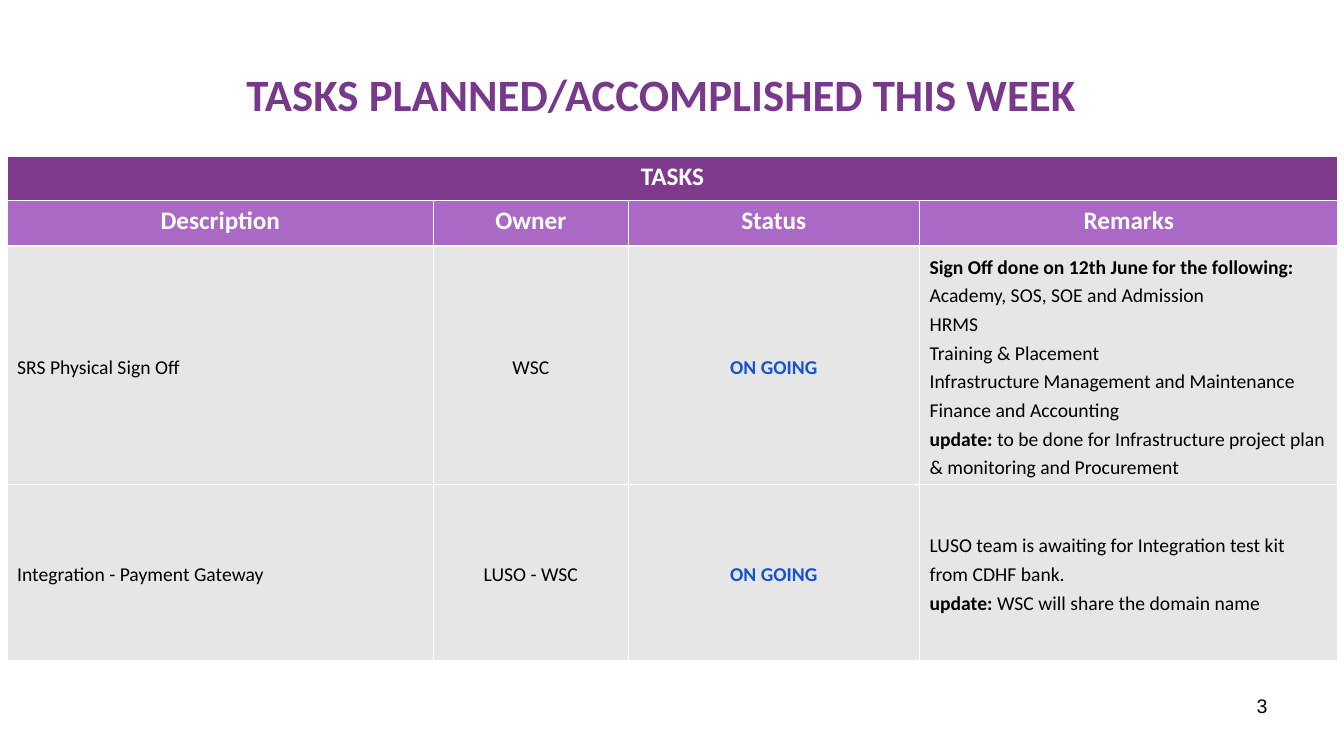
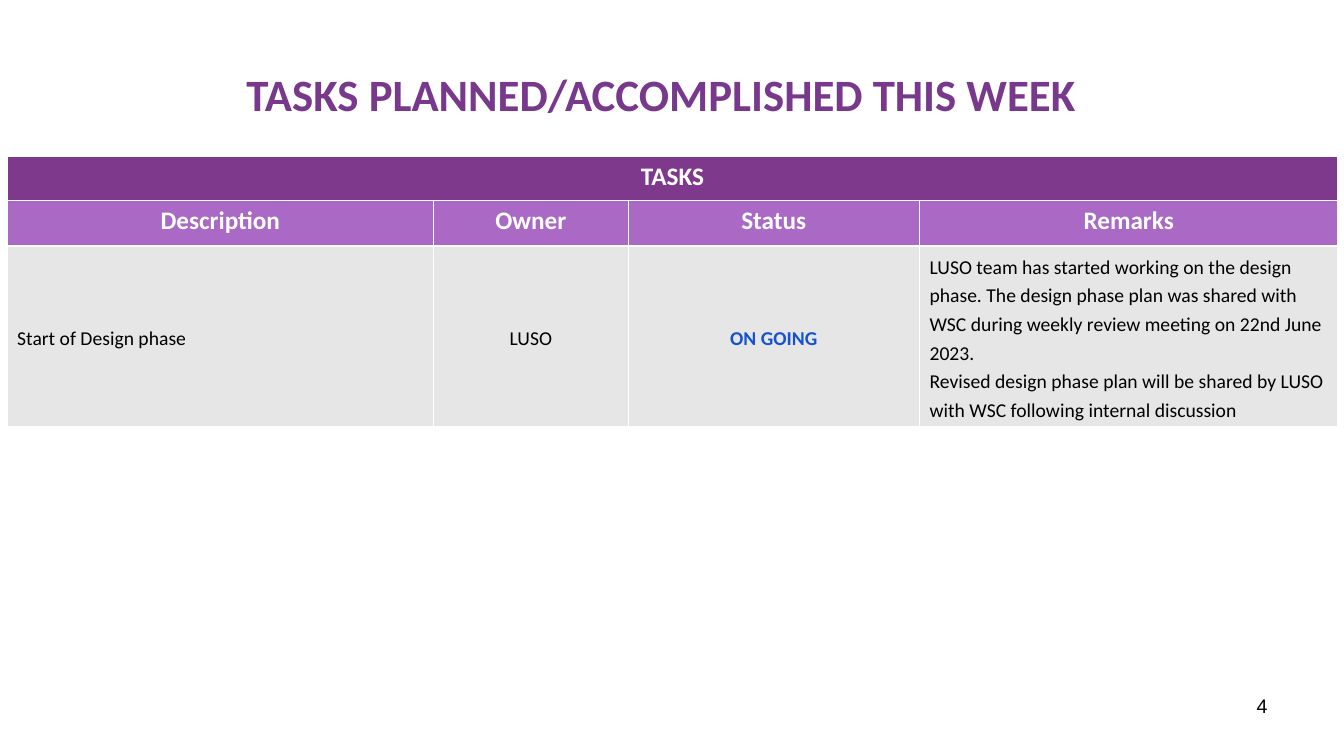
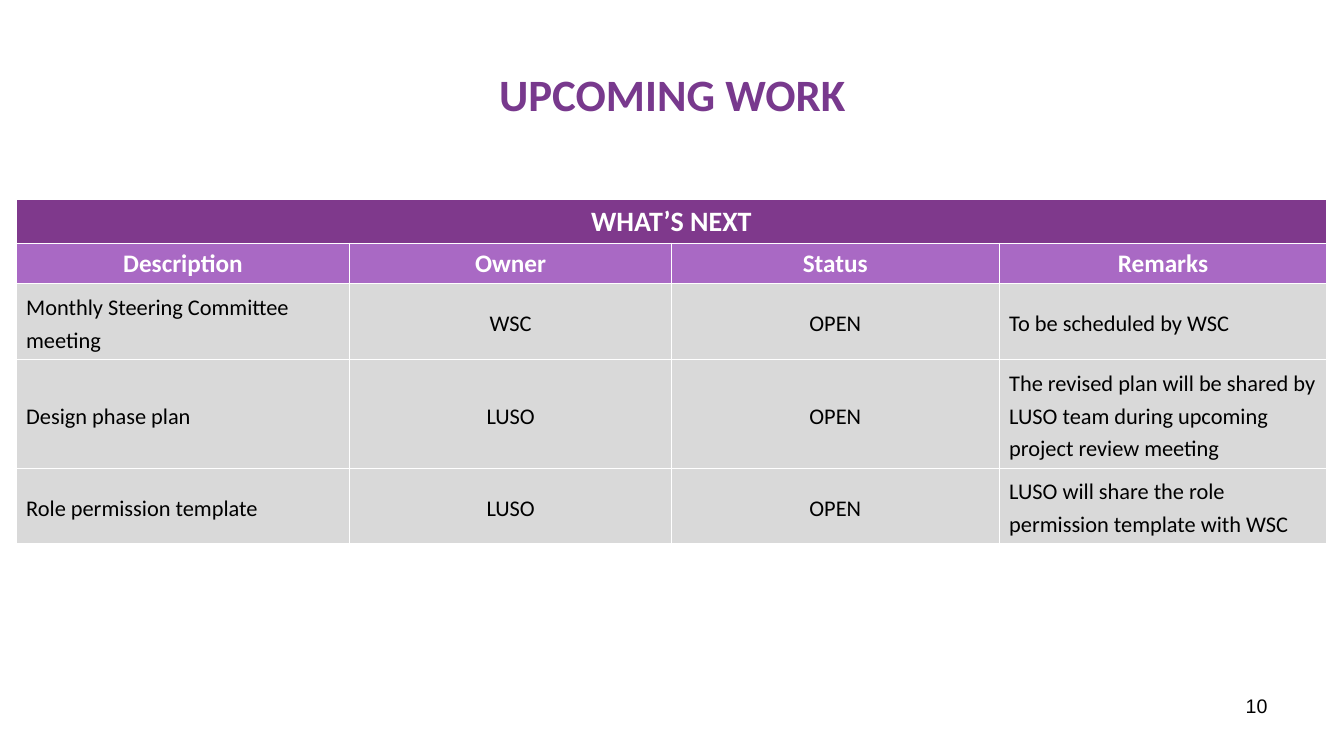
from dataclasses import dataclass

from pptx import Presentation
from pptx import util as u
from pptx.dml import color
from pptx.enum import text
from pptx.oxml import parse_xml
from pptx.oxml import ns

CENTER, LEFT, RIGHT = text.PP_ALIGN.CENTER, text.PP_ALIGN.LEFT, text.PP_ALIGN.RIGHT
MIDDLE, TOP = text.MSO_ANCHOR.MIDDLE, text.MSO_ANCHOR.TOP


@dataclass(frozen=True)
class Theme:
    """Colours, fonts and type sizes shared by the slides."""

    font: str = "Calibri"
    number_font: str = "Arial"
    title: str = "78398D"
    band: str = "7F398C"
    header: str = "A969C4"
    body: str = "E6E6E6"
    upcoming_body: str = "D9D9D9"
    ongoing: str = "1552D1"
    ink: str = "000000"
    white: str = "FFFFFF"
    title_size: int = 32
    upcoming_band_size: int = 20
    header_size: int = 18
    upcoming_body_size: int = 16
    body_size: int = 14


THEME = Theme()
HEADERS = ["Description", "Owner", "Status", "Remarks"]
TASK_COLUMNS = [4.23, 1.93, 2.89, 4.15]
UPCOMING_COLUMNS = [3.31, 3.19, 3.25, 3.25]


def write(frame, content, size, ink=THEME.ink, bold=False, align=LEFT,
          font=THEME.font, spacing=None):
    """Fill a frame from a string or a list of paragraphs of (text, bold) spans."""
    paragraphs = [[(content, bold)]] if isinstance(content, str) else content
    frame.word_wrap = True
    for index, spans in enumerate(paragraphs):
        para = frame.add_paragraph() if index else frame.paragraphs[0]
        para.alignment = align
        if spacing:
            para.line_spacing = spacing
        for words, heavy in spans:
            span = para.add_run()
            span.text = words
            span.font.name = font
            span.font.size = u.Pt(size)
            span.font.bold = heavy
            span.font.color.rgb = color.RGBColor.from_string(ink)


def add_text(page, left, top, width, height, content, anchor=TOP, **style):
    """Add a text box at a place given in inches."""
    box = page.shapes.add_textbox(*map(u.Inches, (left, top, width, height)))
    box.text_frame.vertical_anchor = anchor
    write(box.text_frame, content, **style)


def add_page(deck, title, number, title_left=0.67):
    """Add a blank page with its title and page number."""
    page = deck.slides.add_slide(deck.slide_layouts[6])
    add_text(page, title_left, 0.3, 12, 1.25, title, anchor=MIDDLE, align=CENTER,
             size=THEME.title_size, ink=THEME.title, bold=True)
    add_text(page, 9.56, 6.83, 3.11, 0.52, number, align=RIGHT,
             size=THEME.body_size, font=THEME.number_font)
    return page


def paint_cell(cell, content, fill, anchor=TOP, **style):
    """Give a cell its white borders, fill and text."""
    properties = cell._tc.get_or_add_tcPr()
    for side in "LRTB":
        properties.append(parse_xml(
            f'<a:ln{side} {ns.nsdecls("a")} w="12700"><a:solidFill>'
            f'<a:srgbClr val="{THEME.white}"/></a:solidFill></a:ln{side}>'))
    cell.fill.solid()
    cell.fill.fore_color.rgb = color.RGBColor.from_string(fill)
    cell.vertical_anchor = anchor
    write(cell.text_frame, content, **style)


def add_task_table(page, left, top, columns, heights, band, tasks,
                   band_size=THEME.header_size, body_size=THEME.body_size,
                   body_fill=THEME.body, status_style=None):
    """Add a table with a merged band, a header row and one row per task."""
    frame = page.shapes.add_table(
        len(heights), len(columns), u.Inches(left), u.Inches(top),
        u.Inches(sum(columns)), u.Inches(sum(heights)))
    table = frame.table
    table.first_row = table.horz_banding = False
    for column, width in zip(table.columns, columns):
        column.width = u.Inches(width)
    for row, height in zip(table.rows, heights):
        row.height = u.Inches(height)

    table.cell(0, 0).merge(table.cell(0, len(columns) - 1))
    heading = dict(ink=THEME.white, bold=True, align=CENTER)
    for index, label in enumerate(HEADERS):
        paint_cell(table.cell(0, index), "" if index else band, THEME.band,
                   size=band_size, **heading)
        paint_cell(table.cell(1, index), label, THEME.header,
                   size=THEME.header_size, **heading)

    for row, task in enumerate(tasks, start=2):
        for index, content in enumerate(task):
            style = dict(align=CENTER if index in (1, 2) else LEFT)
            if HEADERS[index] == "Status":
                style.update(status_style or {})
            paint_cell(table.cell(row, index), content, body_fill, anchor=MIDDLE,
                       size=body_size, spacing=1.2, **style)


def add_week_page(deck, number, heights, tasks):
    """Add a page of this week's tasks."""
    page = add_page(deck, "TASKS PLANNED/ACCOMPLISHED THIS WEEK", number,
                    title_left=0.56)
    add_task_table(page, 0.07, 1.55, TASK_COLUMNS, [0.44, 0.45] + heights, "TASKS",
                   tasks, status_style=dict(ink=THEME.ongoing, bold=True))


def add_upcoming_page(deck, number, heights, tasks):
    """Add the page of upcoming work."""
    page = add_page(deck, "UPCOMING WORK", number)
    add_task_table(page, 0.16, 1.98, UPCOMING_COLUMNS, [0.43, 0.4] + heights,
                   "WHAT’S NEXT", tasks, band_size=THEME.upcoming_band_size,
                   body_size=THEME.upcoming_body_size,
                   body_fill=THEME.upcoming_body)


def main():
    """Build and save the deck."""
    deck = Presentation()
    deck.slide_width, deck.slide_height = u.Inches(13.33), u.Inches(7.5)

    add_week_page(deck, "3", [2.37, 1.74], [
        ("SRS Physical Sign Off", "WSC", "ON GOING", [
            [("Sign Off done on 12th June for the following:", True)],
            [("Academy, SOS, SOE and Admission", False)],
            [("HRMS", False)],
            [("Training & Placement", False)],
            [("Infrastructure Management and Maintenance", False)],
            [("Finance and Accounting", False)],
            [("update:", True), (" to be done for Infrastructure project plan "
                                 "& monitoring and Procurement", False)],
        ]),
        ("Integration - Payment Gateway", "LUSO - WSC", "ON GOING", [
            [("LUSO team is awaiting for Integration test kit from CDHF bank.", False)],
            [("update: ", True), ("WSC will share the domain name", False)],
        ]),
    ])

    add_week_page(deck, "4", [1.79], [
        ("Start of Design phase", "LUSO", "ON GOING", [
            [("LUSO team has started working on the design phase. The design phase "
              "plan was shared with WSC during weekly review meeting on 22nd June "
              "2023.", False)],
            [("Revised design phase plan will be shared by LUSO with WSC following "
              "internal discussion", False)],
        ]),
    ])

    add_upcoming_page(deck, "10", [0.75, 1.08, 0.75], [
        ("Monthly Steering Committee meeting", "WSC", "OPEN",
         "To be scheduled by WSC"),
        ("Design phase plan", "LUSO", "OPEN",
         "The revised plan will be shared by LUSO team during upcoming project "
         "review meeting"),
        ("Role permission template", "LUSO", "OPEN",
         "LUSO will share the role permission template with WSC"),
    ])
    deck.save("out.pptx")


if __name__ == "__main__":
    main()
